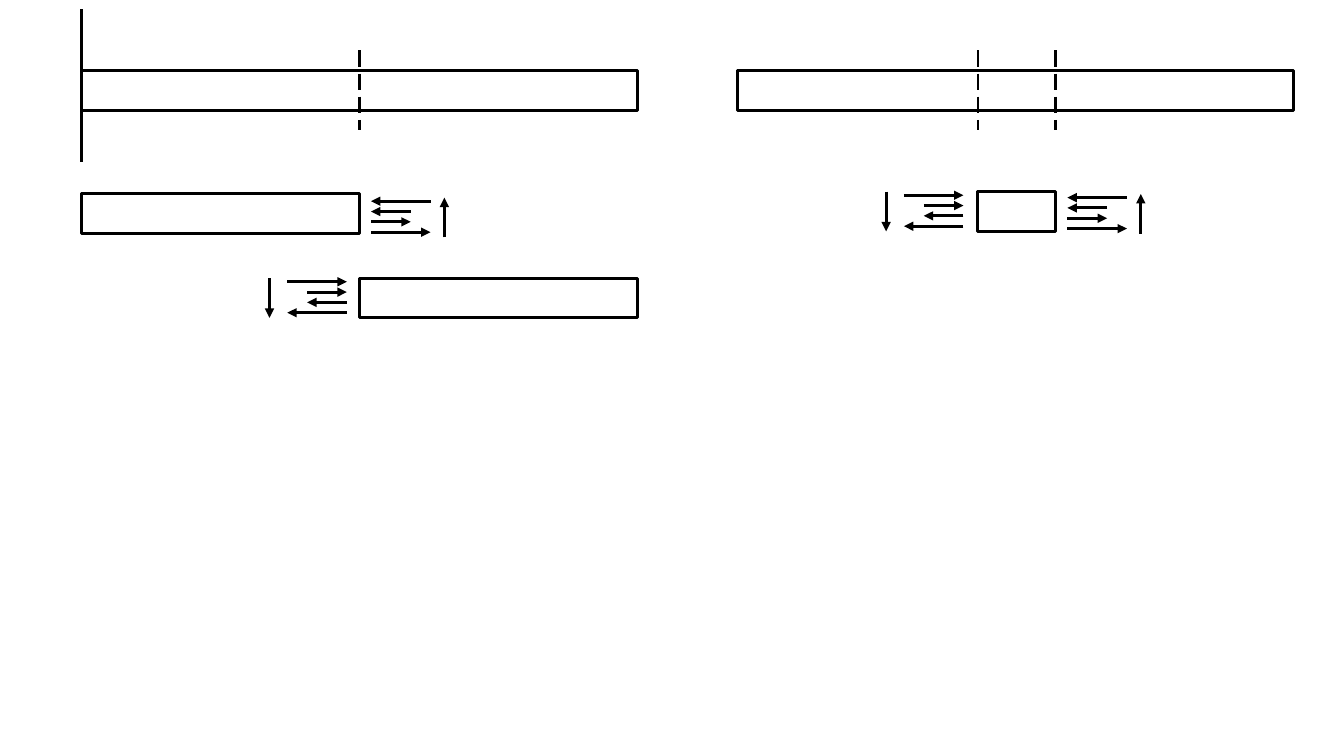
import pptx
import pptx.dml.color
import pptx.enum.dml
import pptx.enum.shapes
import pptx.oxml.ns
import pptx.util
from lxml import etree

Cm = pptx.util.Cm

COLOURS = {"ink": "000000", "paper": "FFFFFF"}
BEAM_LENGTH, BEAM_DEPTH = 14, 1
BEAM_TOP = 1.78
CANTILEVER_LEFT, CANTILEVER_CUT = 2.06, 9.06
FREE_LEFT, FREE_CUTS = 18.59, (24.64, 26.6)
STRESS_LENGTHS = (1.5, 1, 1, 1.5)
STRESS_PITCH = 0.26


class BeamSketch:
    """Draws beams, cuts and section forces on one slide, in centimetres."""

    def __init__(self, slide):
        self.slide = slide
        self.outline = 2.25
        self.cut_width = 1.5
        background = slide.background.fill
        background.solid()
        background.fore_color.rgb = self.colour("paper")

    def colour(self, name):
        return pptx.dml.color.RGBColor.from_string(COLOURS[name])

    def ink(self, line, width):
        line.color.rgb = self.colour("ink")
        line.width = pptx.util.Pt(width)

    def beam(self, left, top, length):
        beam = self.slide.shapes.add_shape(
            pptx.enum.shapes.MSO_SHAPE.RECTANGLE,
            Cm(left), Cm(top), Cm(length), Cm(BEAM_DEPTH))
        beam.shadow.inherit = False
        beam.fill.background()
        self.ink(beam.line, self.outline)

    def line(self, start, end, width=None):
        line = self.slide.shapes.add_connector(
            pptx.enum.shapes.MSO_CONNECTOR.STRAIGHT,
            Cm(start[0]), Cm(start[1]), Cm(end[0]), Cm(end[1]))
        self.ink(line.line, width or self.outline)
        etree.SubElement(line._element.spPr, pptx.oxml.ns.qn("a:effectLst"))
        return line

    def arrow(self, start, end):
        arrow = self.line(start, end)
        tip = etree.SubElement(arrow.line._get_or_add_ln(),
                               pptx.oxml.ns.qn("a:tailEnd"))
        tip.set("type", "triangle")

    def cut(self, x):
        cut = self.line((x, 1.27), (x, 3.27), self.cut_width)
        cut.line.dash_style = pptx.enum.dml.MSO_LINE.LONG_DASH

    def section_forces(self, face, top, side):
        """Bending stresses and shear next to a cut; side is 1 right of it, -1 left."""
        for row, length in enumerate(STRESS_LENGTHS):
            y = top + 0.09 + row * STRESS_PITCH
            near, far = (face, y), (face + side * length, y)
            if row < 2:
                self.arrow(far, near)
            else:
                self.arrow(near, far)
        shear = face + side * 1.9 - 0.05
        upper, lower = (shear, top), (shear, top + BEAM_DEPTH)
        if side > 0:
            self.arrow(lower, upper)
        else:
            self.arrow(upper, lower)


def draw_cantilever(sketch):
    half = BEAM_LENGTH / 2
    sketch.beam(CANTILEVER_LEFT, BEAM_TOP, BEAM_LENGTH)
    sketch.cut(CANTILEVER_CUT)
    sketch.beam(CANTILEVER_LEFT, 4.88, half)
    sketch.beam(CANTILEVER_CUT, 7.01, half)
    sketch.section_forces(9.35, 4.98, 1)
    sketch.section_forces(8.74, 7.01, -1)
    sketch.line((CANTILEVER_LEFT, 0.23), (CANTILEVER_LEFT, 4.09))


def draw_free_element(sketch):
    sketch.beam(FREE_LEFT, BEAM_TOP, BEAM_LENGTH)
    for x in FREE_CUTS:
        sketch.cut(x)
    sketch.beam(FREE_CUTS[0], 4.83, FREE_CUTS[1] - FREE_CUTS[0])
    sketch.section_forces(26.9, 4.89, 1)
    sketch.section_forces(24.28, 4.83, -1)


def main():
    deck = pptx.Presentation()
    deck.slide_width, deck.slide_height = Cm(33.87), Cm(19.05)
    blank_layout = deck.slide_layouts[6]
    sketch = BeamSketch(deck.slides.add_slide(blank_layout))
    draw_cantilever(sketch)
    draw_free_element(sketch)
    deck.save("out.pptx")


if __name__ == "__main__":
    main()
